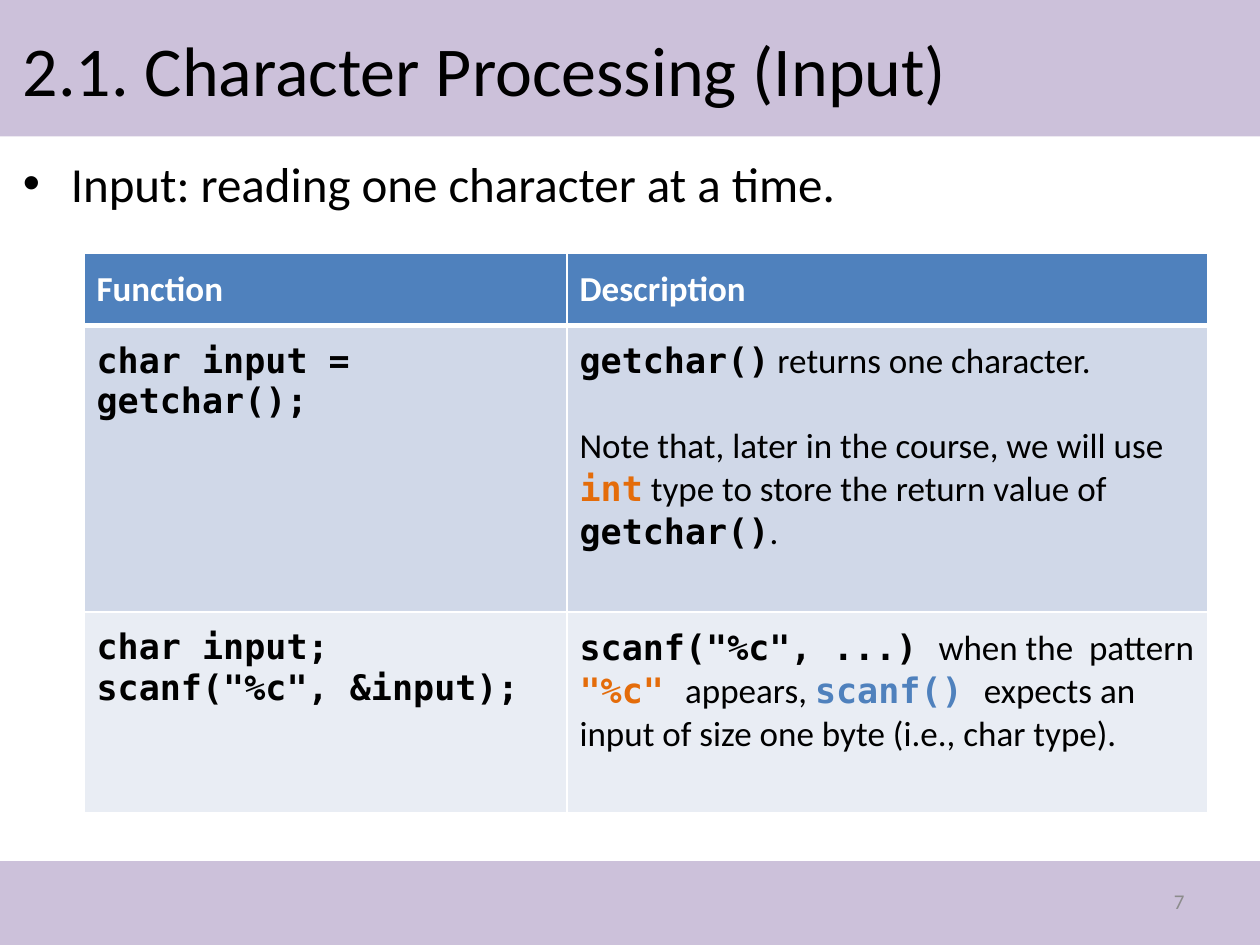
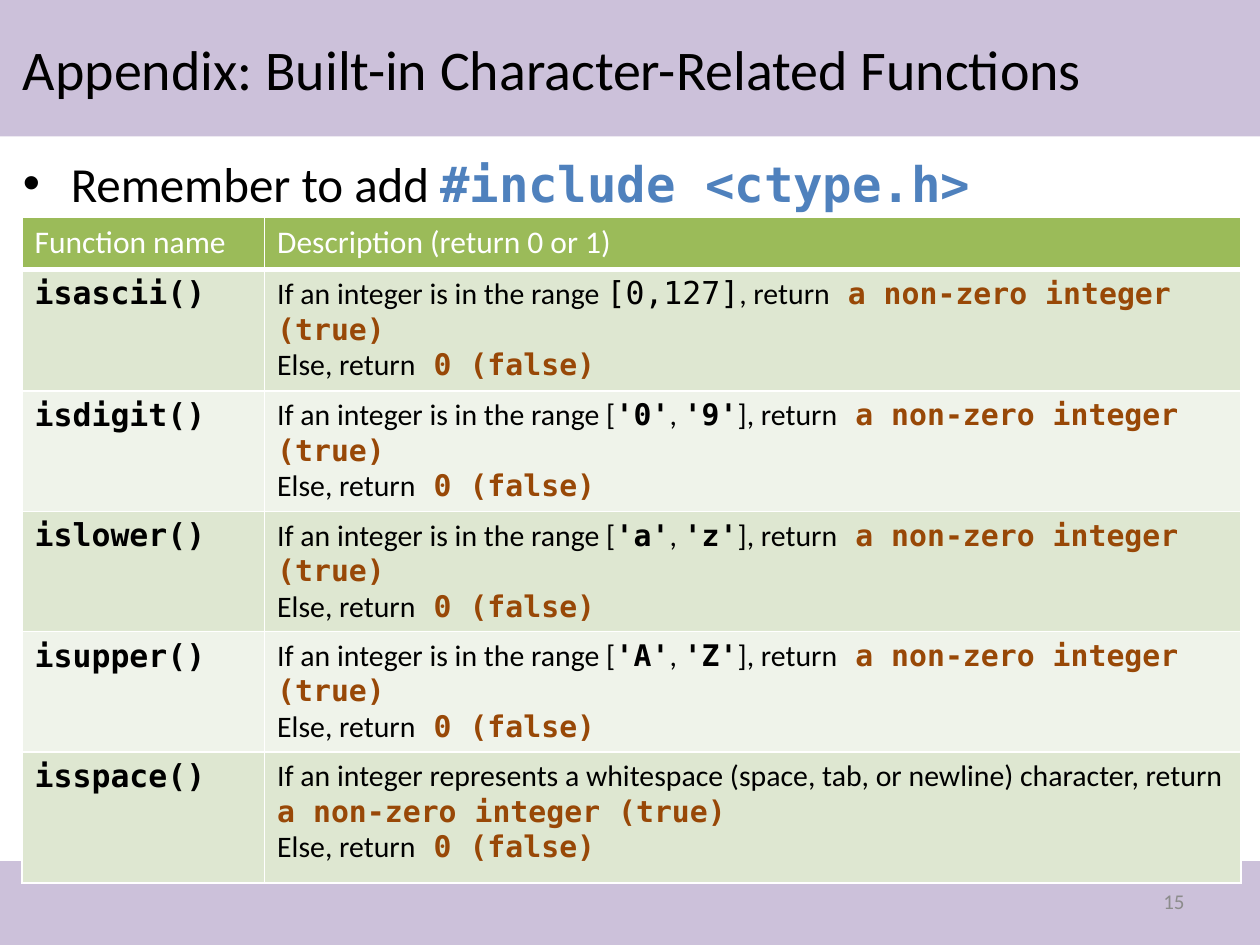
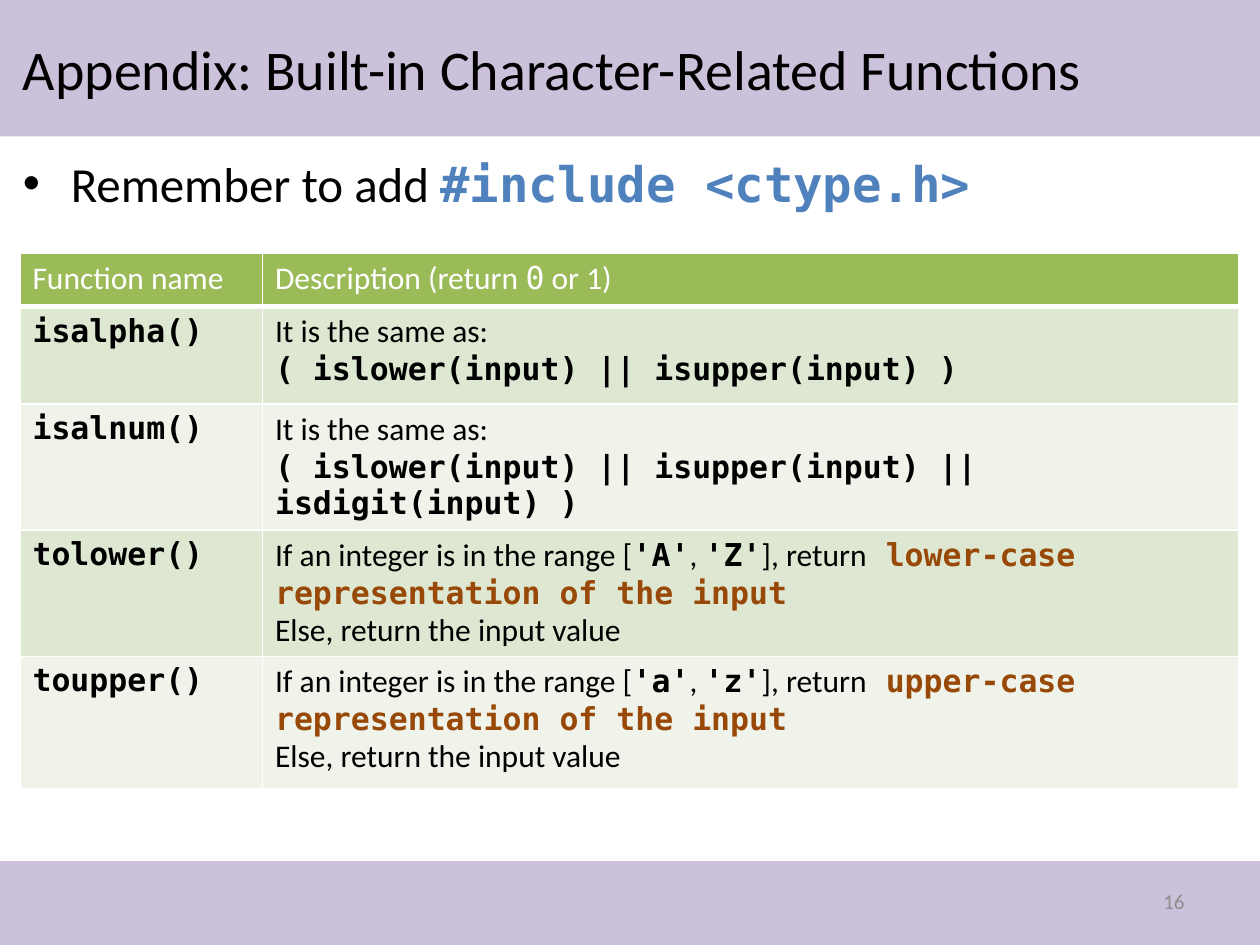
from dataclasses import dataclass

from lxml import etree
from pptx import Presentation
from pptx.dml.color import RGBColor
from pptx.enum.shapes import MSO_SHAPE
from pptx.enum.text import MSO_ANCHOR, PP_ALIGN
from pptx.oxml.ns import qn
from pptx.util import Inches, Pt

RECTANGLE = MSO_SHAPE.RECTANGLE
MIDDLE, TOP = MSO_ANCHOR.MIDDLE, MSO_ANCHOR.TOP
LEFT, RIGHT = PP_ALIGN.LEFT, PP_ALIGN.RIGHT

SLIDE_WIDTH, SLIDE_HEIGHT = Inches(10), Inches(7.5)
COLUMNS, ROWS = 120, 90
SANS, MONO = "Calibri", "DejaVu Sans Mono"


@dataclass(frozen=True)
class Box:
    """A region measured in grid columns and rows."""
    left: float
    top: float
    width: float
    height: float

    def lengths(self):
        """Return the region as slide lengths."""
        return across(self.left), down(self.top), across(self.width), down(self.height)


@dataclass(frozen=True)
class Style:
    """The face of a span of text."""
    font: str = SANS
    color: str = "000000"
    bold: bool = False


@dataclass(frozen=True)
class Theme:
    """Colours and type sizes shared by all slides."""
    band: str = "CCC1DA"
    border: str = "FFFFFF"
    blue: tuple = ("4F81BD", "D0D8E8", "E9EDF4")
    green: tuple = ("9BBB59", "DEE7D1", "EFF3EA")
    title: int = 40
    long_title: int = 32
    bullet: int = 28
    large: int = 20
    medium: int = 18
    small: int = 17
    number: int = 12


THEME = Theme()
PLAIN = Style()
CODE = Style(MONO, bold=True)
LIGHT_CODE = Style(MONO)
HEAD = Style(color="FFFFFF")
BOLD_HEAD = Style(color="FFFFFF", bold=True)
HEAD_CODE = Style(MONO, "FFFFFF")
ORANGE = Style(MONO, "E46C0A", True)
BLUE = Style(MONO, "4F81BD", True)
BROWN = Style(MONO, "984807", True)
GRAY = Style(color="8C8C8C")

TOP_BAND = Box(0, 0, COLUMNS, 13)
BOTTOM_BAND = Box(0, 82, COLUMNS, 8)
TITLE = Box(1, 1, 118, 11)
BODY = Box(1, 14, 117.2, 67)
NUMBER = Box(86, 83.4, 28, 4.8)


def across(columns):
    """Turn grid columns into a length."""
    return round(SLIDE_WIDTH * columns / COLUMNS)


def down(rows):
    """Turn grid rows into a length."""
    return round(SLIDE_HEIGHT * rows / ROWS)


def write_spans(para, spans, size):
    """Add (text, style[, size]) spans to a paragraph."""
    for text, style, *own_size in spans:
        span = para.add_run()
        span.text = text
        span.font.name = style.font
        span.font.size = Pt(own_size[0] if own_size else size)
        span.font.bold = style.bold
        span.font.color.rgb = RGBColor.from_string(style.color)


def add_text(page, box, spans, size, anchor=MIDDLE, align=LEFT):
    """Place one paragraph in a wrapped text box and return it."""
    frame = page.shapes.add_textbox(*box.lengths()).text_frame
    frame.word_wrap = True
    frame.vertical_anchor = anchor
    para = frame.paragraphs[0]
    para.alignment = align
    write_spans(para, spans, size)
    return para


def add_band(page, box):
    """Draw a plain coloured band."""
    band = page.shapes.add_shape(RECTANGLE, *box.lengths())
    band.shadow.inherit = False
    band.fill.solid()
    band.fill.fore_color.rgb = RGBColor.from_string(THEME.band)
    band.line.fill.background()


def add_bullet(page, box, spans):
    """Write a bulleted line with a hanging indent."""
    para = add_text(page, box, spans, THEME.bullet, TOP)
    properties = para._p.get_or_add_pPr()
    indent = Inches(0.38)
    properties.set("marL", str(indent))
    properties.set("indent", str(-indent))
    etree.SubElement(properties, qn("a:buFont"), typeface="Arial")
    etree.SubElement(properties, qn("a:buChar"), char="•")


def add_page(deck, title, title_size, bullet, number):
    """Start a page with its bands, title, bullet and number."""
    page = deck.slides.add_slide(deck.slide_layouts[6])
    for band in (TOP_BAND, BOTTOM_BAND):
        add_band(page, band)
    add_text(page, TITLE, [(title, PLAIN)], title_size)
    add_bullet(page, BODY, bullet)
    add_text(page, NUMBER, [(str(number), GRAY)], THEME.number, align=RIGHT)
    return page


def set_borders(cell, bottom):
    """Give a cell white borders with the given bottom width."""
    properties = cell._tc.get_or_add_tcPr()
    for side, width in (("L", 1), ("R", 1), ("T", 1), ("B", bottom)):
        line = etree.SubElement(properties, qn(f"a:ln{side}"), w=str(Pt(width)))
        fill = etree.SubElement(line, qn("a:solidFill"))
        etree.SubElement(fill, qn("a:srgbClr"), val=THEME.border)


def fill_cell(cell, paragraphs, size, color, bottom, margin, gap):
    """Write paragraphs into a cell and set its look."""
    set_borders(cell, bottom)
    cell.fill.solid()
    cell.fill.fore_color.rgb = RGBColor.from_string(color)
    cell.margin_left = cell.margin_right = Inches(0.1)
    cell.margin_top = cell.margin_bottom = Inches(margin)
    frame = cell.text_frame
    for index, spans in enumerate(paragraphs):
        para = frame.add_paragraph() if index else frame.paragraphs[0]
        if index and gap:
            para.space_before = Pt(gap)
        write_spans(para, spans, size)


def add_function_table(page, left, top, widths, heights, rows, palette, sizes,
                       margin=0.05, gaps=None):
    """Draw a table with a header and banded rows; sizes are for name and text."""
    box = Box(left, top, sum(widths), sum(heights))
    table = page.shapes.add_table(len(rows), len(widths), *box.lengths()).table
    for column, width in zip(table.columns, widths):
        column.width = across(width)
    for row, height in zip(table.rows, heights):
        row.height = down(height)
    header, odd, even = palette
    for row_index, row in enumerate(rows):
        is_header = row_index == 0
        color = header if is_header else odd if row_index % 2 else even
        for column_index, paragraphs in enumerate(row):
            size = sizes[0] if is_header else sizes[column_index]
            gap = (gaps or {}).get((row_index, column_index))
            fill_cell(table.cell(row_index, column_index), paragraphs, size, color,
                      3 if is_header else 1, margin, gap)


def range_start(first, last):
    """Return the spans that name a range of characters."""
    return [("If an integer is in the range [", PLAIN), (f"'{first}'", CODE),
            (", ", PLAIN), (f"'{last}'", CODE), ("], return", PLAIN)]


def test_row(name, condition):
    """Describe a function that returns true or false."""
    return ([[(name, CODE)]],
            [condition + [(" a non-zero integer (true)", BROWN)],
             [("Else, return", PLAIN), (" 0 (false)", BROWN)]])


def same_row(name, expression):
    """Describe a function by an equal expression."""
    return ([[(name, CODE)]],
            [[("It is the same as:", PLAIN)], [(expression, CODE)]])


def convert_row(name, first, last, case):
    """Describe a function that changes the case."""
    result = f" {case}-case representation of the input"
    return ([[(name, CODE)]],
            [range_start(first, last) + [(result, BROWN)],
             [("Else, return the input value", PLAIN)]])


def build_input_page(deck):
    """Build the page on reading characters."""
    page = add_page(deck, "2.1. Character Processing (Input)", THEME.title,
                    [("Input: reading one character at a time.", PLAIN)], 7)
    rows = [
        ([[("Function", BOLD_HEAD)]], [[("Description", BOLD_HEAD)]]),
        ([[("char input = getchar();", CODE)]],
         [[("getchar()", CODE), (" returns one character.", PLAIN)],
          [("Note that, later in the course, we will use ", PLAIN), ("int", ORANGE),
           (" type to store the return value of ", PLAIN),
           ("getchar()", CODE), (".", PLAIN)]]),
        ([[("char input;", CODE)], [('scanf("%c", &input);', CODE)]],
         [[('scanf("%c", ...) ', CODE), ("when the  pattern ", PLAIN),
           ('"%c" ', ORANGE), ("appears, ", PLAIN), ("scanf() ", BLUE),
           ("expects an input of size one byte (i.e., char type).", PLAIN)]]),
    ]
    add_function_table(page, 8, 24.1, (46, 61), (6.9, 27.3, 19.1), rows, THEME.blue,
                       (THEME.large, THEME.large), margin=0.12, gaps={(1, 1): 24})


def build_appendix_page(deck, number, left, top, heights, description, rows, text_size):
    """Build one page of the list of character functions."""
    page = add_page(deck, "Appendix: Built-in Character-Related Functions",
                    THEME.long_title,
                    [("Remember to add ", PLAIN), ("#include <ctype.h>", BLUE)], number)
    header = ([[("Function name", HEAD)]], [description])
    add_function_table(page, left, top, (23.1, 93), heights, [header] + rows,
                       THEME.green, (THEME.medium, text_size))


def main():
    """Build the deck and save it."""
    deck = Presentation()
    deck.slide_width, deck.slide_height = SLIDE_WIDTH, SLIDE_HEIGHT
    build_input_page(deck)
    tests = [
        test_row("isascii()", [("If an integer is in the range ", PLAIN),
                               ("[0,127]", LIGHT_CODE, THEME.medium),
                               (", return", PLAIN)]),
        test_row("isdigit()", range_start("0", "9")),
        test_row("islower()", range_start("a", "z")),
        test_row("isupper()", range_start("A", "Z")),
        test_row("isspace()", [("If an integer represents a whitespace (space, tab, "
                                "or newline) character, return", PLAIN)]),
    ]
    build_appendix_page(deck, 15, 2.1, 20.65, (5, *[11.45] * 4, 12.5),
                        [("Description (return 0 or 1)", HEAD)], tests, THEME.small)
    conversions = [
        same_row("isalpha()", "( islower(input) || isupper(input) )"),
        same_row("isalnum()",
                 "( islower(input) || isupper(input) || isdigit(input) )"),
        convert_row("tolower()", "A", "Z", "lower"),
        convert_row("toupper()", "a", "z", "upper"),
    ]
    build_appendix_page(deck, 16, 1.9, 24.1, (5.1, 9.3, 11.8, 12, 12.6),
                        [("Description (return ", HEAD), ("0", HEAD_CODE),
                         (" or 1)", HEAD)], conversions, THEME.medium)
    deck.save("out.pptx")


if __name__ == "__main__":
    main()
